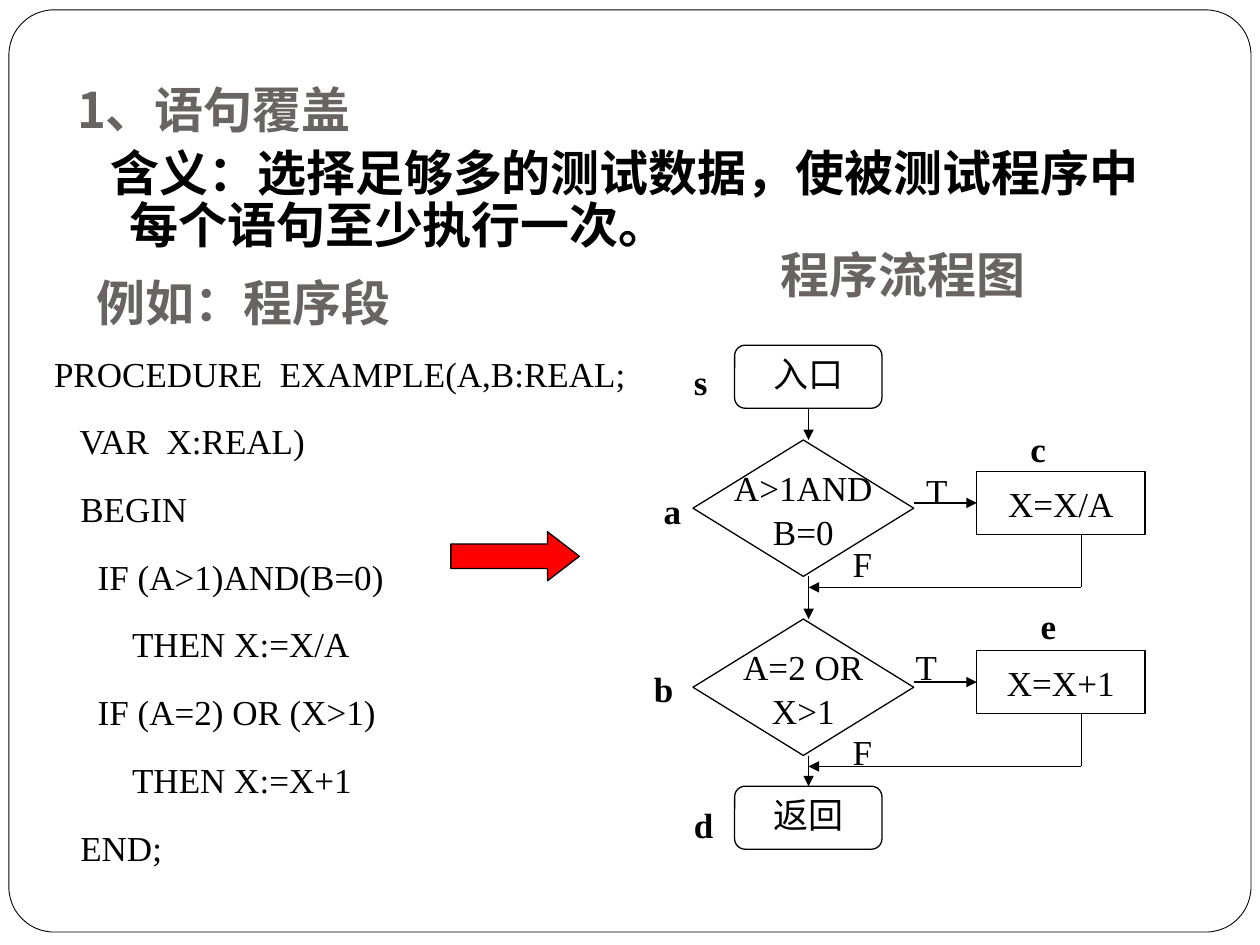
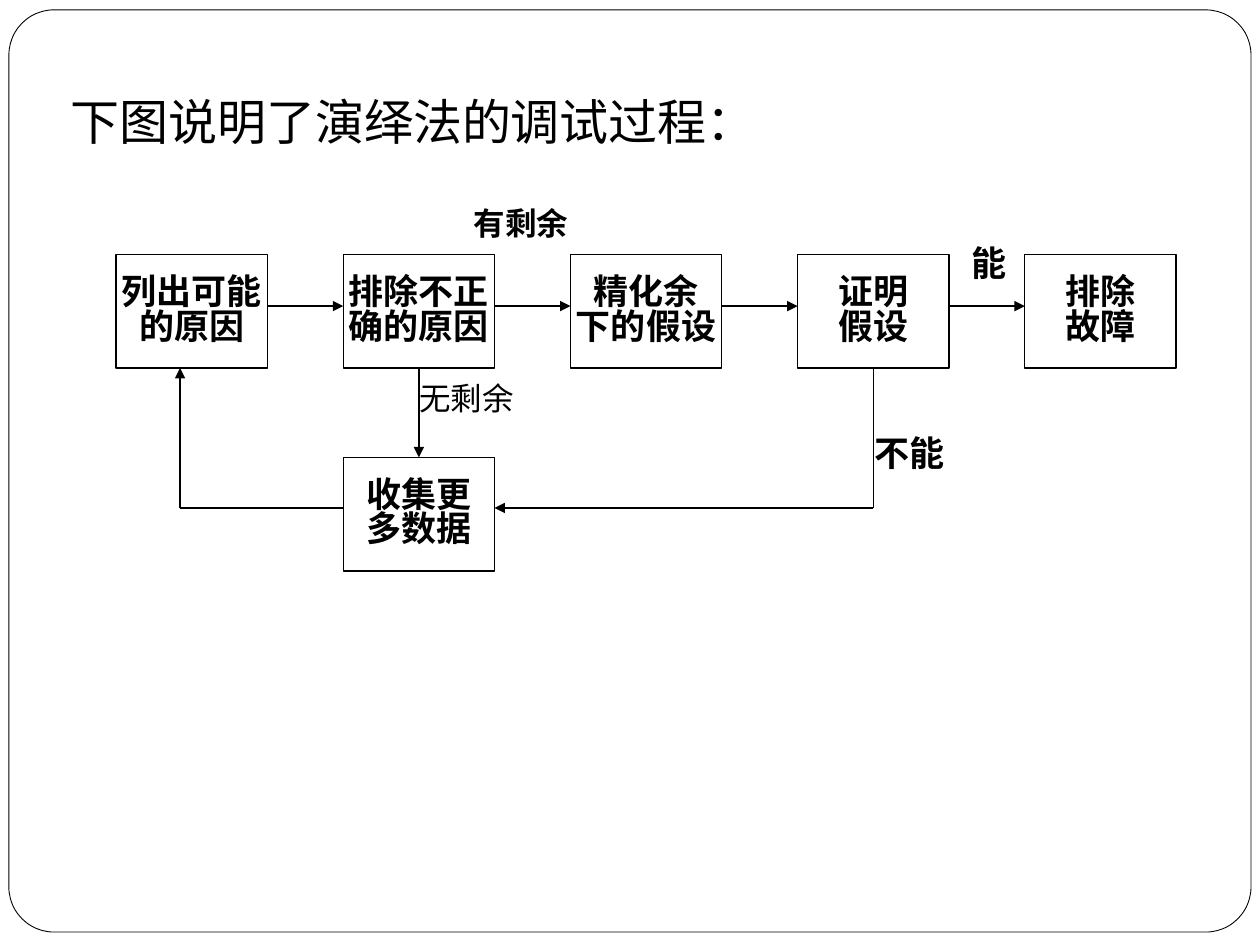
import dataclasses
import itertools

import lxml.etree
import pptx
import pptx.dml.color
import pptx.enum.shapes
import pptx.enum.text
import pptx.oxml.ns
import pptx.util

Cm = pptx.util.Cm
Kind = pptx.enum.shapes.MSO_SHAPE


@dataclasses.dataclass(frozen=True)
class Theme:
    """Colours, faces, sizes and spacing of the deck."""
    ink: str = "000000"
    paper: str = "FFFFFF"
    grey: str = "696464"
    red: str = "FF0000"
    serif: str = "Times New Roman"
    sans: str = "Noto Sans CJK SC"
    plain: str = "Arial"
    head: int = 28
    body: int = 20
    small: int = 18
    thin: float = 0.5
    line: float = 0.75
    gap: float = 13.5
    latin: float = 1.05
    tight: float = 0.83
    loose: float = 0.9


THEME = Theme()

CODE = """PROCEDURE  EXAMPLE(A,B:REAL;
   VAR  X:REAL)
   BEGIN
     IF (A>1)AND(B=0)
         THEN X:=X/A
     IF (A=2) OR (X>1)
         THEN X:=X+1
   END;"""


def tint(name):
    """Turn a hex string into a colour."""
    return pptx.dml.color.RGBColor.from_string(name)


def child(parent, tag, **attrs):
    """Append a DrawingML element."""
    return lxml.etree.SubElement(parent, pptx.oxml.ns.qn(tag), **attrs)


def write(frame, text, size=THEME.body, face=THEME.serif, color=THEME.ink,
          bold=False, align="LEFT", lead=THEME.tight, gap=0):
    """Fill a text frame and format its runs."""
    frame.text = text
    for index, para in enumerate(frame.paragraphs):
        para.alignment = getattr(pptx.enum.text.PP_ALIGN, align)
        para.line_spacing = THEME.latin if para.text.isascii() else lead
        para.space_before = pptx.util.Pt(gap if index else 0)
        for run in para.runs:
            font = run.font
            font.size = pptx.util.Pt(size)
            font.bold = bold
            font.name = face
            font.color.rgb = tint(color)
            child(run._r.get_or_add_rPr(), "a:ea", typeface=THEME.sans)


def label(slide, text, left, top, width=1.3, height=1.1, **style):
    """Add a text box."""
    box = slide.shapes.add_textbox(Cm(left), Cm(top), Cm(width), Cm(height))
    box.text_frame.word_wrap = True
    write(box.text_frame, text, **style)
    return box


def head(slide, text, left, top, width, **style):
    """Place and format the slide title."""
    title = slide.shapes.title
    title.left, title.top = Cm(left), Cm(top)
    title.width, title.height = Cm(width), Cm(1.5)
    frame = title.text_frame
    frame.word_wrap = True
    frame.auto_size = pptx.enum.text.MSO_AUTO_SIZE.NONE
    frame.vertical_anchor = pptx.enum.text.MSO_ANCHOR.TOP
    write(frame, text, THEME.head, THEME.sans, lead=THEME.loose, **style)


def shape(slide, kind, left, top, width, height, fill=THEME.paper,
          line=THEME.line):
    """Add an outlined preset shape."""
    item = slide.shapes.add_shape(kind, Cm(left), Cm(top), Cm(width), Cm(height))
    item.shadow.inherit = False
    item.fill.solid()
    item.fill.fore_color.rgb = tint(fill)
    item.line.color.rgb = tint(THEME.ink)
    item.line.width = pptx.util.Pt(line)
    return item


def node(slide, kind, text, left, top, width, height, bold=False):
    """Add a flow chart node with centred text."""
    frame = shape(slide, kind, left, top, width, height).text_frame
    frame.word_wrap = False
    frame.vertical_anchor = pptx.enum.text.MSO_ANCHOR.MIDDLE
    write(frame, text, bold=bold, align="CENTER")


def route(slide, *points):
    """Join points with lines, ending in an arrowhead."""
    for start, end in itertools.pairwise(points):
        link = slide.shapes.add_connector(
            pptx.enum.shapes.MSO_CONNECTOR.STRAIGHT,
            *(Cm(value) for value in start + end))
        link.line.color.rgb = tint(THEME.ink)
        link.line.width = pptx.util.Pt(THEME.line)
        child(link.element.spPr, "a:effectLst")
    child(link.line._get_or_add_ln(), "a:tailEnd", type="triangle")


def border(deck, slide):
    """Put the rounded border on the slide master."""
    edge = shape(slide, Kind.ROUNDED_RECTANGLE, 0.18, 0.2, 25.04, 18.59,
                 line=THEME.thin)
    edge.adjustments[0] = 0.049
    deck.slide_master.shapes.element.insert(2, edge.element)


def chart(slide):
    """Draw the program flow chart."""
    spine, first, step = 16.3, 8.87, 3.61
    for text, top in (("入口", 6.96), ("返回", 15.85)):
        node(slide, Kind.FLOWCHART_ALTERNATE_PROCESS, text, 14.81, top, 2.97, 1.27)
    tests = (("A>1AND\nB=0", "X=X/A"), ("A=2 OR\nX>1", "X=X+1"))
    for index, (test, action) in enumerate(tests):
        top = first + step * index
        node(slide, Kind.FLOWCHART_DECISION, test, 13.97, top, 4.45, 2.75)
        node(slide, Kind.FLOWCHART_PROCESS, action, 19.69, top + 0.63, 3.39, 1.27)
        route(slide, (18.42, top + 1.27), (19.69, top + 1.27))
        route(slide, (21.8, top + 1.9), (21.8, top + 2.97), (spine, top + 2.97))
    for start, end in ((8.23, 8.87), (11.62, 12.48), (15.23, 15.85)):
        route(slide, (spine, start), (spine, end))
    for text, left, top in (("T", 18.42, 9.3), ("F", 16.94, 10.77),
                            ("T", 18.21, 12.85), ("F", 16.94, 14.55)):
        label(slide, text, left, top)
    for text, left, top in (("s", 13.74, 7.11), ("a", 13.13, 9.7),
                            ("b", 12.93, 13.28), ("d", 13.74, 16.03),
                            ("c", 20.52, 8.46), ("e", 20.73, 12.01)):
        label(slide, text, left, top, bold=True)


def cover(slide):
    """Build the statement coverage slide."""
    head(slide, "1、语句覆盖", 1.3, 1.6, 8.4, color=THEME.grey, bold=True)
    topic = dict(size=THEME.head, face=THEME.sans, bold=True)
    sense = label(slide, "含义：选择足够多的测试数据，使被测试程序中每个语句至少执行一次。",
                  1.09, 2.92, 23.01, 2.74, lead=0.87, **topic)
    props = sense.text_frame.paragraphs[0]._p.get_or_add_pPr()
    props.set("marL", str(Cm(1.27)))
    props.set("indent", str(Cm(-0.38)))
    topic.update(color=THEME.grey, lead=THEME.loose)
    label(slide, "例如：程序段", 1.7, 5.5, 11.61, 1.5, **topic)
    topic.update(face=THEME.plain)
    label(slide, "程序流程图", 15.49, 4.93, 6.4, 1.45, **topic)
    label(slide, CODE, 0.84, 6.93, 12.27, 10.13, gap=THEME.gap)
    arrow = shape(slide, Kind.RIGHT_ARROW, 9.09, 10.72, 2.59, 0.99, THEME.red)
    arrow.adjustments[1] = 0.649
    chart(slide)


def debug(slide):
    """Build the deductive debugging slide."""
    head(slide, "下图说明了演绎法的调试过程：", 1.17, 1.85, 22.5)
    left, pitch, wide, tall = 2.34, 4.58, 3.05, 2.29
    top, low = 5.13, 9.22
    base, turn, mid = top + tall, 10.24, 6.17
    steps = ("列出可能\n的原因", "排除不正\n确的原因", "精化余\n下的假设",
             "证明\n假设", "排除\n故障")
    edges = [left + pitch * index for index in range(len(steps))]
    for text, edge in zip(steps, edges):
        node(slide, Kind.RECTANGLE, text, edge, top, wide, tall, bold=True)
    for edge, after in itertools.pairwise(edges):
        route(slide, (edge + wide, mid), (after, mid))
    node(slide, Kind.RECTANGLE, "收集更\n多数据", edges[1], low, wide, tall, bold=True)
    drop, proof = edges[1] + wide / 2, edges[3] + wide / 2
    route(slide, (drop, base), (drop, low))
    route(slide, (edges[1], turn), (3.63, turn), (3.63, base))
    route(slide, (proof, base), (proof, turn), (edges[1] + wide, turn))
    label(slide, "不能", 17.37, 8.71, 2.39, bold=True)
    label(slide, "能", 19.33, 4.88, 1.75, bold=True)
    label(slide, "无剩余", 8.2, 7.65, 2.84, size=THEME.small)
    label(slide, "有剩余", 9.3, 4.11, 2.84, size=THEME.small, bold=True)


def main():
    """Build and save the deck."""
    deck = pptx.Presentation()
    deck.slide_width, deck.slide_height = Cm(25.4), Cm(19.05)
    first, second = (deck.slides.add_slide(deck.slide_layouts[5]) for _ in range(2))
    border(deck, first)
    cover(first)
    debug(second)
    deck.save("out.pptx")


if __name__ == "__main__":
    main()
